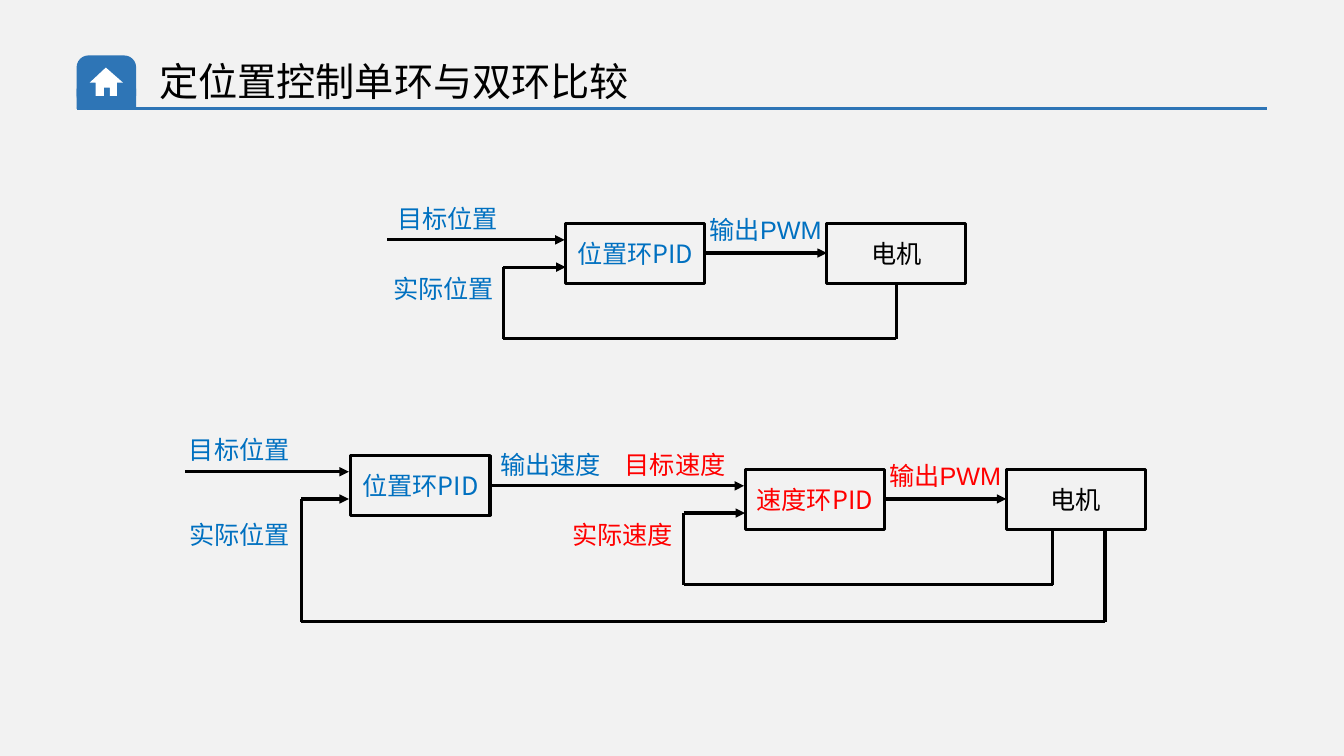
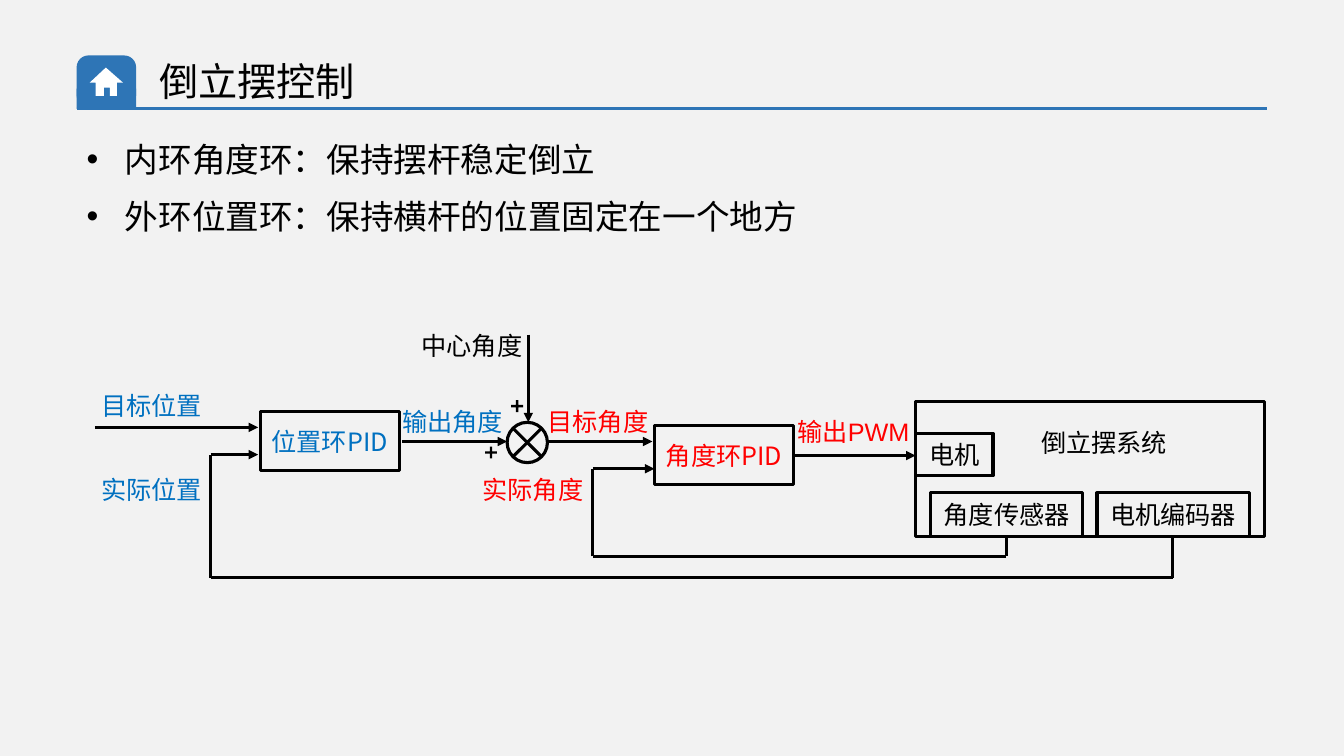
from itertools import pairwise

from lxml.etree import SubElement
from pptx import Presentation
from pptx.dml.color import RGBColor
from pptx.enum.shapes import MSO_CONNECTOR, MSO_SHAPE
from pptx.enum.text import MSO_ANCHOR, PP_ALIGN
from pptx.oxml.ns import qn
from pptx.util import Pt

PX = 9144  # 100 px to the inch
BACKGROUND, ACCENT, WHITE, BLACK = "F2F2F2", "2E75B6", "FFFFFF", "000000"
OUTER, INNER = "0070C0", "FF0000"  # colours of the outer and inner loop
CJK, LATIN = "Noto Sans CJK SC", "Arial"
BOX_SIZE = (138, 59)
LINE_WIDTH = Pt(2.25)
color = RGBColor.from_string


def write(shape, lines, size, hex_color, font_name, align=PP_ALIGN.CENTER, bullet=False):
    frame = shape.text_frame
    frame.word_wrap = True
    frame.text = lines
    for paragraph in frame.paragraphs:
        paragraph.alignment = align
        if bullet:
            paragraph.space_after = Pt(12)
            properties = paragraph._p.get_or_add_pPr()
            properties.set("marL", str(38 * PX))
            properties.set("indent", str(-38 * PX))
            SubElement(properties, qn("a:buFont")).set("typeface", LATIN)
            SubElement(properties, qn("a:buChar")).set("char", "•")
        paragraph.font.size = Pt(size)
        paragraph.font.color.rgb = color(hex_color)
        paragraph.font.name = font_name
        defaults = paragraph._p.pPr.find(qn("a:defRPr"))
        SubElement(defaults, qn("a:ea")).set("typeface", CJK)


def add_route(slide, points, hex_color=BLACK, arrow=True):
    """Join the points with straight lines; the last one carries the arrowhead."""
    for start, end in pairwise(points):
        line = slide.shapes.add_connector(
            MSO_CONNECTOR.STRAIGHT, *(value * PX for value in start + end))
        line.line.width = LINE_WIDTH
        line.line.color.rgb = color(hex_color)
        SubElement(line._element.spPr, qn("a:effectLst"))
    if arrow:
        SubElement(line.line._get_or_add_ln(), qn("a:tailEnd")).set("type", "triangle")


# Diagram contents: boxes and labels are (text, colour, left, top, ...)
diagrams = [
    {
        "title": "定位置控制单环与双环比较",
        "boxes": [
            # Single loop
            ("位置环PID", OUTER, 561, 222, *BOX_SIZE),
            ("电机", BLACK, 820, 222, *BOX_SIZE),
            # Double loop
            ("位置环PID", OUTER, 348, 452, *BOX_SIZE),
            ("速度环PID", INNER, 739, 466, *BOX_SIZE),
            ("电机", BLACK, 998, 466, *BOX_SIZE),
        ],
        "labels": [
            ("目标位置", OUTER, 375, 197, 138),
            ("实际位置", OUTER, 375, 266, 130),
            ("输出PWM", OUTER, 678, 208, 163),
            ("目标位置", OUTER, 171, 426, 133),
            ("实际位置", OUTER, 172, 510, 131),
            ("输出速度", OUTER, 485, 441, 122),
            ("目标速度", INNER, 607, 441, 125),
            ("实际速度", INNER, 552, 510, 131),
            ("输出PWM", INNER, 872, 452, 131),
        ],
        "routes": [
            [(384, 238), (560, 238)],
            [(699, 251), (820, 251)],
            [(889, 281), (889, 336), (499, 336), (499, 265), (561, 265)],
            [(184, 468), (346, 468)],
            [(486, 482), (738, 482)],
            [(877, 495), (998, 495)],
            [(1044, 525), (1044, 580), (678, 580), (678, 509), (739, 509)],
            [(1096, 525), (1096, 617), (299, 617), (299, 495), (346, 495)],
        ],
    },
    {
        "title": "倒立摆控制",
        "boxes": [
            ("位置环PID", OUTER, 258, 408, *BOX_SIZE),
            ("角度环PID", INNER, 649, 422, *BOX_SIZE),
            ("", BLACK, 908, 398, 346, 134),
            ("电机", BLACK, 908, 430, 77, 42),
            ("角度传感器", BLACK, 923, 489, 151, 43),
            ("电机编码器", BLACK, 1088, 489, 151, 43),
        ],
        "labels": [
            ("目标位置", OUTER, 83, 382, 135),
            ("实际位置", OUTER, 80, 466, 141),
            ("输出角度", OUTER, 382, 398, 134),
            ("中心角度", BLACK, 399, 323, 138),
            ("目标角度", INNER, 524, 398, 138),
            ("实际角度", INNER, 463, 466, 131),
            ("输出PWM", INNER, 770, 408, 153),
            ("倒立摆系统", BLACK, 1015, 419, 160),
        ],
        "routes": [
            [(94, 424), (256, 424)],
            [(399, 438), (503, 438)],
            [(524, 332), (524, 419)],
            [(543, 438), (647, 438)],
            [(787, 452), (908, 452)],
            [(998, 532), (998, 552), (588, 552), (588, 465), (649, 465)],
            [(1163, 532), (1163, 573), (209, 573), (209, 451), (256, 451)],
        ],
    },
]
house = [(122, 82), (105, 67), (89, 82), (95, 82), (95, 95), (103, 95),
         (103, 87), (109, 87), (109, 95), (116, 95)]

presentation = Presentation()
presentation.slide_width, presentation.slide_height = 1333 * PX, 750 * PX

for diagram in diagrams:
    slide = presentation.slides.add_slide(presentation.slide_layouts[6])
    slide.background.fill.solid()
    slide.background.fill.fore_color.rgb = color(BACKGROUND)

    # Title with home tab and rule
    title = slide.shapes.add_textbox(148 * PX, 52 * PX, 954 * PX, 57 * PX)
    write(title, diagram["title"], 28, BLACK, CJK, PP_ALIGN.LEFT)
    tab = slide.shapes.add_shape(
        MSO_SHAPE.ROUNDED_RECTANGLE, 76 * PX, 55 * PX, 59 * PX, 51 * PX)
    tab.adjustments[0] = 0.23
    tab_base = slide.shapes.add_shape(
        MSO_SHAPE.RECTANGLE, 76 * PX, 88 * PX, 59 * PX, 20 * PX)
    builder = slide.shapes.build_freeform(116, 82, scale=PX)
    builder.add_line_segments(house, close=True)
    home = builder.convert_to_shape()
    for shape, fill in ((tab, ACCENT), (tab_base, ACCENT), (home, WHITE)):
        shape.shadow.inherit = False
        shape.fill.solid()
        shape.fill.fore_color.rgb = color(fill)
        shape.line.fill.background()
    add_route(slide, [(76, 108), (1257, 108)], ACCENT, arrow=False)

    # Block diagram
    for text, hex_color, *bounds in diagram["boxes"]:
        box = slide.shapes.add_shape(
            MSO_SHAPE.RECTANGLE, *(value * PX for value in bounds))
        box.shadow.inherit = False
        box.fill.background()
        box.line.width = LINE_WIDTH
        box.line.color.rgb = color(BLACK)
        if text:
            box.text_frame.vertical_anchor = MSO_ANCHOR.MIDDLE
            write(box, text, 18, hex_color, CJK)
    for points in diagram["routes"]:
        add_route(slide, points)
    for text, hex_color, left, top, width in diagram["labels"]:
        label = slide.shapes.add_textbox(left * PX, top * PX, width * PX, 40 * PX)
        write(label, text, 18, hex_color, LATIN)

# Pendulum slide: bullets
bullets = slide.shapes.add_textbox(76 * PX, 133 * PX, 1181 * PX, 108 * PX)
write(bullets, "内环角度环：保持摆杆稳定倒立\n外环位置环：保持横杆的位置固定在一个地方",
      24, BLACK, LATIN, PP_ALIGN.LEFT, bullet=True)

# Pendulum slide: summing junction with plus signs
junction = slide.shapes.add_shape(
    MSO_SHAPE.FLOWCHART_SUMMING_JUNCTION, 503 * PX, 419 * PX, 40 * PX, 40 * PX)
junction.shadow.inherit = False
junction.fill.background()
junction.line.width = LINE_WIDTH
junction.line.color.rgb = color(BLACK)
for left, top in ((505, 395), (479, 441)):
    plus = slide.shapes.add_shape(
        MSO_SHAPE.MATH_PLUS, left * PX, top * PX, 16 * PX, 16 * PX)
    plus.adjustments[0] = 0.15
    plus.shadow.inherit = False
    plus.fill.solid()
    plus.fill.fore_color.rgb = color(BLACK)
    plus.line.fill.background()

presentation.save("out.pptx")
